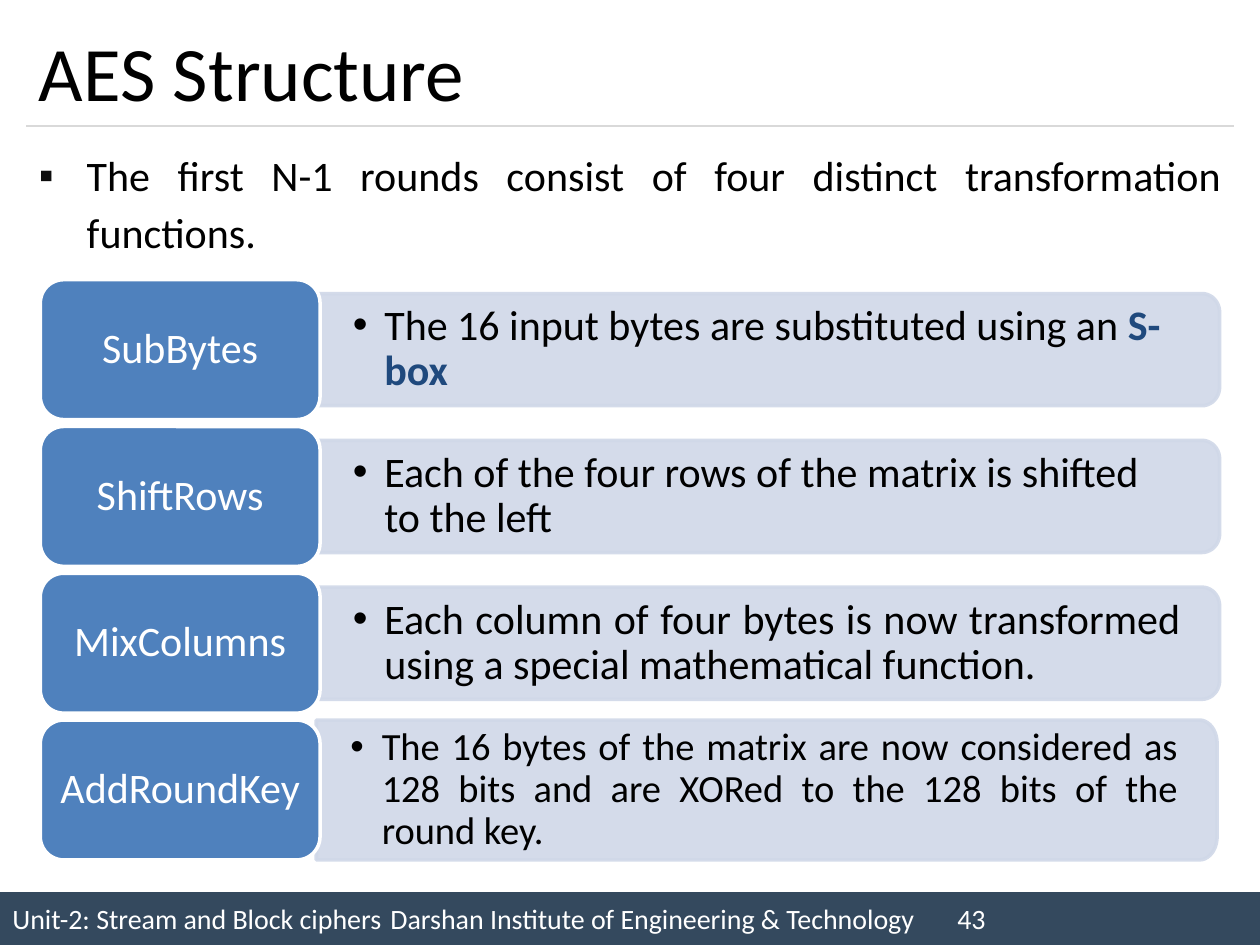
import math
from dataclasses import dataclass

import lxml.etree
import pptx
import pptx.dml.color
import pptx.enum.shapes
import pptx.enum.text
import pptx.oxml.ns
import pptx.util

Inches = pptx.util.Inches
qn = pptx.oxml.ns.qn
SHAPES = pptx.enum.shapes.MSO_SHAPE
ALIGN = pptx.enum.text.PP_ALIGN
ANCHOR = pptx.enum.text.MSO_ANCHOR
rgb = pptx.dml.color.RGBColor.from_string


@dataclass(frozen=True)
class Theme:
    font: str = "Calibri"
    ink: str = "000000"
    white: str = "FFFFFF"
    bar: str = "34495E"
    rule: str = "D9D9D9"
    label: str = "4F81BD"
    panel: str = "D0D8E8"
    accent: str = "1F497D"
    bullet: str = "0D0D0D"
    title_size: int = 44
    body_size: int = 24
    small_size: int = 22
    footer_size: int = 16


theme = Theme()


def write(shape, text, size=theme.body_size, color=theme.ink, accent="",
          align=ALIGN.LEFT, anchor=ANCHOR.MIDDLE, spacing=1.0, level=0,
          margins=(0.1, 0.05, 0.1, 0.05), bullet="", bullet_color=None,
          indent=0, tabs=()):
    """Fill a shape with one paragraph; accent is a bold, coloured ending."""
    frame = shape.text_frame
    frame.word_wrap = True
    frame.vertical_anchor = anchor
    (frame.margin_left, frame.margin_top,
     frame.margin_right, frame.margin_bottom) = map(Inches, margins)
    paragraph = frame.paragraphs[0]
    paragraph.alignment = align
    paragraph.line_spacing = spacing
    paragraph.level = level
    properties = paragraph._p.get_or_add_pPr()
    properties.set("marL", str(Inches(indent)))
    properties.set("indent", str(-Inches(indent)))
    if bullet:
        if bullet_color:
            tint = lxml.etree.SubElement(properties, qn("a:buClr"))
            lxml.etree.SubElement(tint, qn("a:srgbClr"), val=bullet_color)
        lxml.etree.SubElement(properties, qn("a:buFont"), typeface="Arial")
        lxml.etree.SubElement(properties, qn("a:buChar"), char=bullet)
    if tabs:
        stops = lxml.etree.SubElement(properties, qn("a:tabLst"))
        for stop in tabs:
            lxml.etree.SubElement(stops, qn("a:tab"), pos=str(Inches(stop)), algn="l")
    for words, ink, bold in ((text, color, False), (accent, theme.accent, True)):
        if words:
            run = paragraph.add_run()
            run.text = words
            run.font.name = theme.font
            run.font.size = pptx.util.Pt(size)
            run.font.bold = bold
            run.font.color.rgb = rgb(ink)


def paint(shape, fill, line=None, alpha=None):
    """Set a flat fill and a 2 pt outline, both optionally translucent."""
    shape.shadow.inherit = False
    shape.fill.solid()
    shape.fill.fore_color.rgb = rgb(fill)
    if line:
        shape.line.color.rgb = rgb(line)
        shape.line.width = pptx.util.Pt(2)
    else:
        shape.line.fill.background()
    if alpha:
        for tint in shape._element.spPr.iter(qn("a:srgbClr")):
            lxml.etree.SubElement(tint, qn("a:alpha"), val=str(alpha * 1000))


deck = pptx.Presentation()
deck.slide_width, deck.slide_height = Inches(10), Inches(7.5)
slide = deck.slides.add_slide(deck.slide_layouts[6])
shapes = slide.shapes

# Footer bar
footer = shapes.add_shape(SHAPES.RECTANGLE, 0, Inches(7.08), Inches(10), Inches(0.42))
paint(footer, theme.bar)
write(footer, "Unit-2: Stream and Block ciphers\tDarshan Institute of Engineering & Technology\t43",
      size=theme.footer_size, color=theme.white, tabs=(4.68, 9.43),
      margins=(0.1, 0.05, 0, 0.05))

# Title, rule below it and introduction
rule = shapes.add_connector(pptx.enum.shapes.MSO_CONNECTOR.STRAIGHT,
                            Inches(0.21), Inches(1), Inches(9.79), Inches(1))
rule.line.color.rgb = rgb(theme.rule)
rule.line.width = pptx.util.Pt(0.75)
lxml.etree.SubElement(rule._element.spPr, qn("a:effectLst"))

title = shapes.add_textbox(Inches(0.21), Inches(0.12), Inches(9.58), Inches(0.88))
write(title, "AES Structure", size=theme.title_size)

intro = shapes.add_textbox(Inches(0.21), Inches(1.08), Inches(9.58), Inches(1.02))
write(intro, "The first N-1 rounds consist of four distinct transformation functions.",
      align=ALIGN.JUSTIFY, anchor=ANCHOR.TOP, spacing=1.14, indent=0.38,
      bullet="▪", bullet_color=theme.bullet)

# Transformations: name, description, accent, alignment, size, panel left, panel height
transformations = [
    ("SubBytes", "The 16 input bytes are substituted using an ", "S-box",
     ALIGN.LEFT, theme.body_size, 2.53, 0.89),
    ("ShiftRows", "Each of the four rows of the matrix is shifted to the left", "",
     ALIGN.LEFT, theme.body_size, 2.53, 0.89),
    ("MixColumns",
     "Each column of four bytes is now transformed using a special mathematical function.",
     "", ALIGN.JUSTIFY, theme.body_size, 2.53, 0.89),
    ("AddRoundKey",
     "The 16 bytes of the matrix are now considered as 128 bits and are XORed "
     "to the 128 bits of the round key.",
     "", ALIGN.JUSTIFY, theme.small_size, 2.51, 1.11),
]
first_top, pitch, label_height, panel_width = 2.22, 1.165, 1.11, 7.15
corner_x, corner_steps = 0.14, 10

for row, (name, description, accent, align, size, left, height) in enumerate(transformations):
    label_top = first_top + row * pitch
    top = label_top + (label_height - height) / 2
    right, bottom = left + panel_width, top + height
    corner_y = height / 6

    # Description panel, rounded on its right side only
    angles = [math.pi / 2 * step / corner_steps for step in range(corner_steps + 1)]
    upper = [(right - corner_x * (1 - math.sin(a)), top + corner_y * (1 - math.cos(a)))
             for a in angles]
    lower = [(x, top + bottom - y) for x, y in reversed(upper)]
    outline = [(Inches(x), Inches(y)) for x, y in upper + lower + [(left, bottom)]]
    builder = shapes.build_freeform(Inches(left), Inches(top))
    builder.add_line_segments(outline, close=True)
    panel = builder.convert_to_shape()
    paint(panel, theme.panel, theme.panel, alpha=90)
    write(panel, description, size=size, accent=accent, align=align, spacing=0.9,
          level=1, margins=(0.27, 0.18, 0.31, 0.18), bullet="•", indent=0.25)

    # Name label
    label = shapes.add_shape(SHAPES.ROUNDED_RECTANGLE, Inches(0.32), Inches(label_top),
                             Inches(2.22), Inches(label_height))
    paint(label, theme.label, theme.white)
    write(label, name, color=theme.white, align=ALIGN.CENTER, spacing=0.9,
          margins=(0.09, 0.05, 0.09, 0.05))

deck.save("out.pptx")
